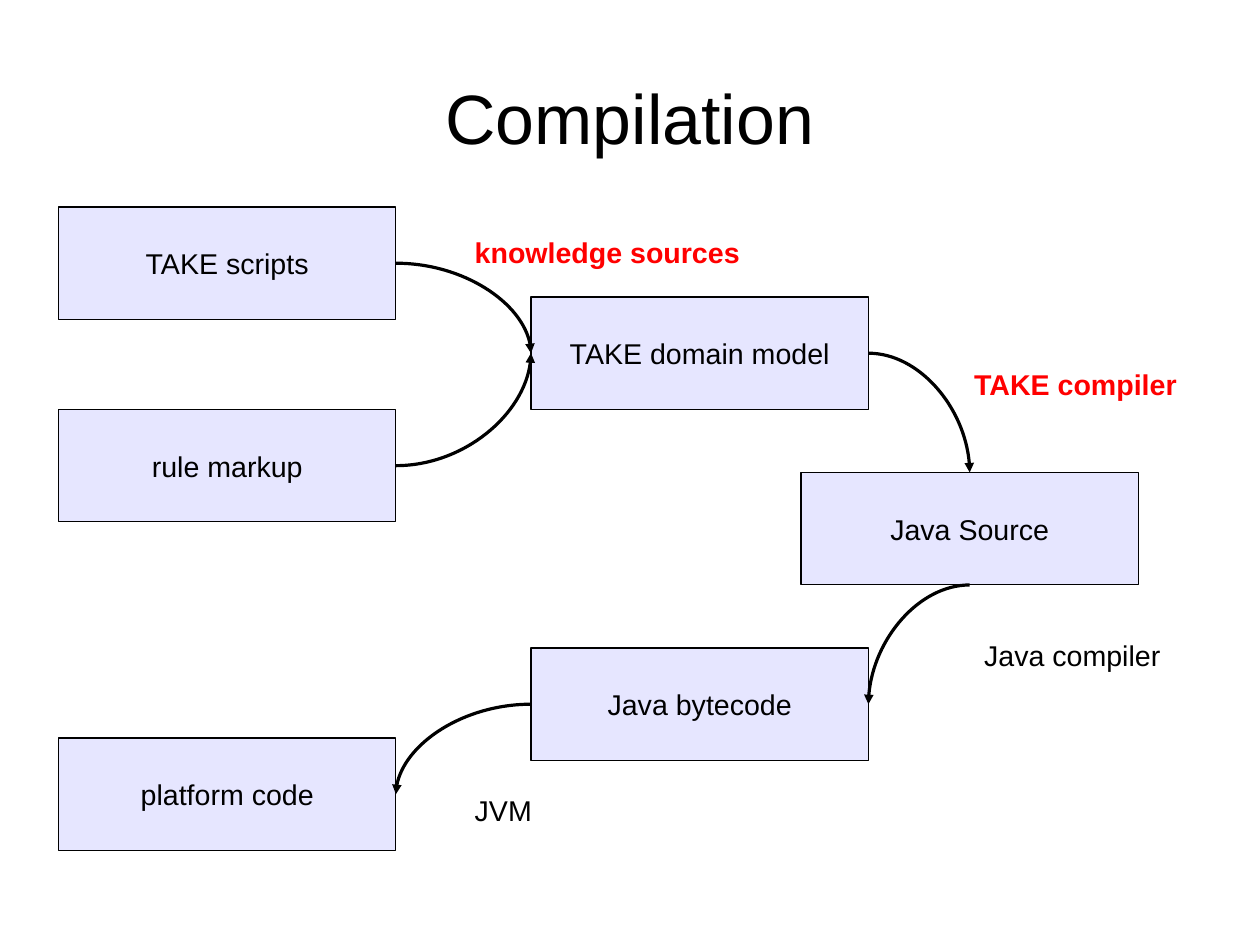
from lxml import etree
from pptx import Presentation
from pptx.dml.color import RGBColor
from pptx.enum.shapes import MSO_CONNECTOR, MSO_SHAPE
from pptx.enum.text import MSO_ANCHOR, PP_ALIGN
from pptx.oxml.ns import qn
from pptx.util import Cm, Pt

CURVE, RECT = MSO_CONNECTOR.CURVE, MSO_SHAPE.RECTANGLE
MIDDLE, TOP = MSO_ANCHOR.MIDDLE, MSO_ANCHOR.TOP
CENTER, LEFT = PP_ALIGN.CENTER, PP_ALIGN.LEFT

# All lengths are in centimetres
SLIDE_W, SLIDE_H = 28, 21
BOX_W, BOX_H = 7.5, 2.5
COLUMNS = (1.3, 11.8, 17.8)
FONT = "Arial"
COLORS = {"box": "E6E6FF", "ink": "000000", "accent": "FF0000"}

TITLE = "Compilation"
# Name: (column, top)
BOXES = {
    "TAKE domain model": (1, 6.6),
    "Java Source": (2, 10.5),
    "Java bytecode": (1, 14.4),
    "platform code": (0, 16.4),
    "TAKE scripts": (0, 4.6),
    "rule markup": (0, 9.1),
}
# From box, its side, to box, its side
ARROWS = [
    ("TAKE scripts", "right", "TAKE domain model", "left"),
    ("rule markup", "right", "TAKE domain model", "left"),
    ("TAKE domain model", "right", "Java Source", "top"),
    ("Java Source", "bottom", "Java bytecode", "right"),
    ("Java bytecode", "left", "platform code", "right"),
]
# Text, left, top, width, emphasised
LABELS = [
    ("knowledge sources", 10.3, 5.1, 6.6, True),
    ("TAKE compiler", 21.4, 8.03, 5.3, True),
    ("Java compiler", 21.62, 14.05, 4.67, False),
    ("JVM", 10.3, 17.5, 1.78, False),
]
LABEL_H = 1.2
# Share of the box width and height
SIDES = {"left": (0, 0.5), "right": (1, 0.5), "top": (0.5, 0), "bottom": (0.5, 1)}


def rgb(name):
    return RGBColor.from_string(COLORS[name])


def write(sp, text, size, color="ink", bold=False, align=CENTER, anchor=MIDDLE):
    tf = sp.text_frame
    tf.vertical_anchor = anchor
    p = tf.paragraphs[0]
    p.alignment = align
    r = p.add_run()
    r.text = text
    r.font.name, r.font.size, r.font.bold = FONT, Pt(size), bold
    r.font.color.rgb = rgb(color)
    return tf


def hairline(line):
    line.color.rgb = rgb("ink")
    line.width = 0


def side_point(name, side):
    column, top = BOXES[name]
    dx, dy = SIDES[side]
    return Cm(COLUMNS[column] + dx * BOX_W), Cm(top + dy * BOX_H)


def add_box(s, name):
    column, top = BOXES[name]
    sp = s.shapes.add_shape(RECT, Cm(COLUMNS[column]), Cm(top), Cm(BOX_W), Cm(BOX_H))
    sp.shadow.inherit = False
    sp.fill.solid()
    sp.fill.fore_color.rgb = rgb("box")
    hairline(sp.line)
    write(sp, name, 18)


def add_arrow(s, source, source_side, target, target_side):
    """Quarter curve that leaves horizontally and arrives vertically."""
    start, end = side_point(source, source_side), side_point(target, target_side)
    arrow = s.shapes.add_connector(CURVE, *start, *end)
    hairline(arrow.line)
    props = arrow._element.spPr
    props.find(qn("a:prstGeom")).set("prst", "curvedConnector2")
    etree.SubElement(props.find(qn("a:ln")), qn("a:tailEnd"), type="triangle")
    etree.SubElement(props, qn("a:effectLst"))


def add_label(s, text, left, top, width, emphasised):
    sp = s.shapes.add_textbox(Cm(left), Cm(top), Cm(width), Cm(LABEL_H))
    color = "accent" if emphasised else "ink"
    tf = write(sp, text, 18, color, emphasised, LEFT, TOP)
    tf.word_wrap = False


def main():
    prs = Presentation()
    prs.slide_width, prs.slide_height = Cm(SLIDE_W), Cm(SLIDE_H)
    s = prs.slides.add_slide(prs.slide_layouts[5])

    title = s.shapes.title
    title.left, title.top = Cm(SLIDE_W * 0.05), Cm(SLIDE_H * 0.04)
    title.width, title.height = Cm(SLIDE_W * 0.9), Cm(3.5)
    tf = write(title, TITLE, 44)
    tf.margin_left = tf.margin_right = tf.margin_top = tf.margin_bottom = 0

    for name in BOXES:
        add_box(s, name)
    for arrow in ARROWS:
        add_arrow(s, *arrow)
    for label in LABELS:
        add_label(s, *label)
    prs.save("out.pptx")


if __name__ == "__main__":
    main()
